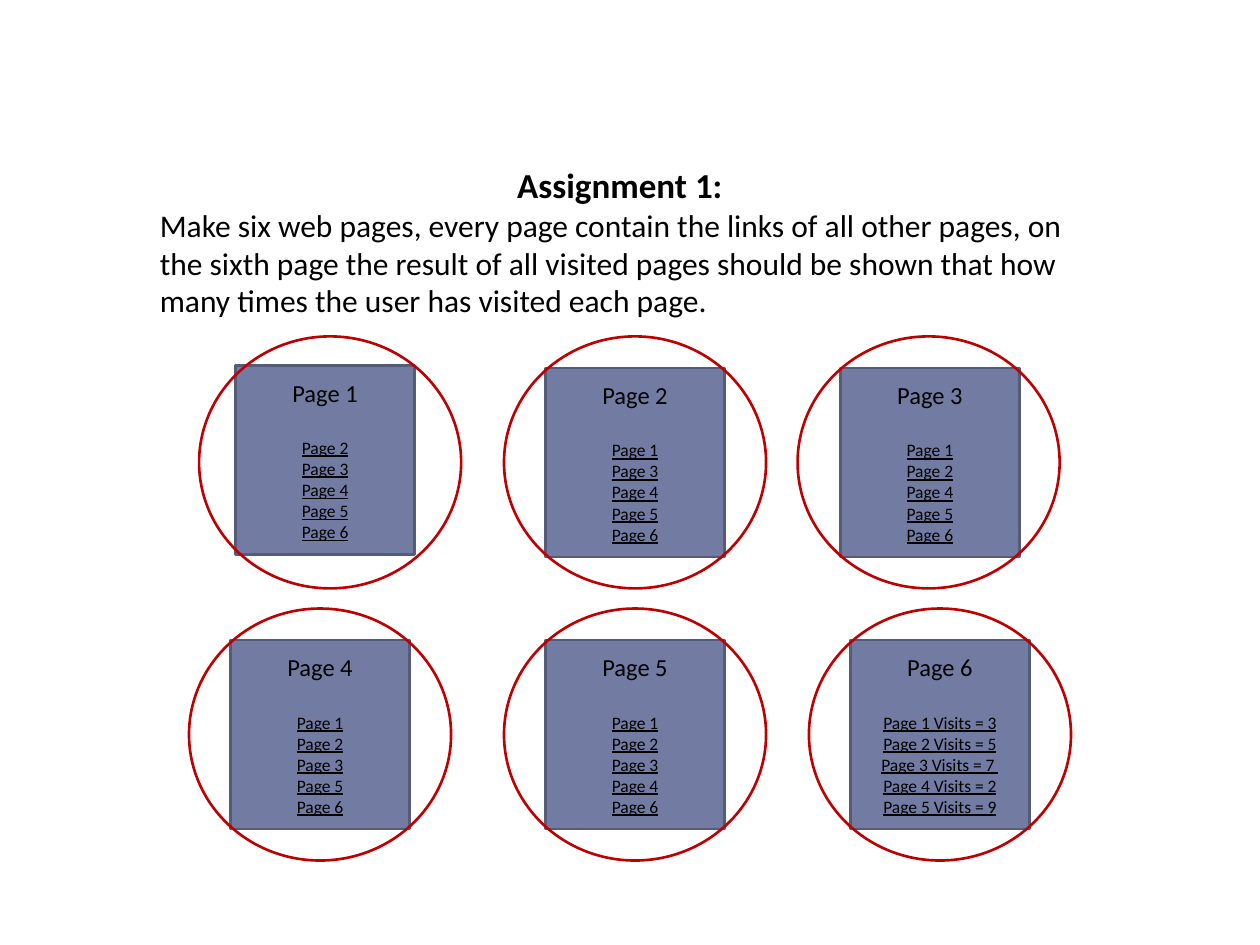
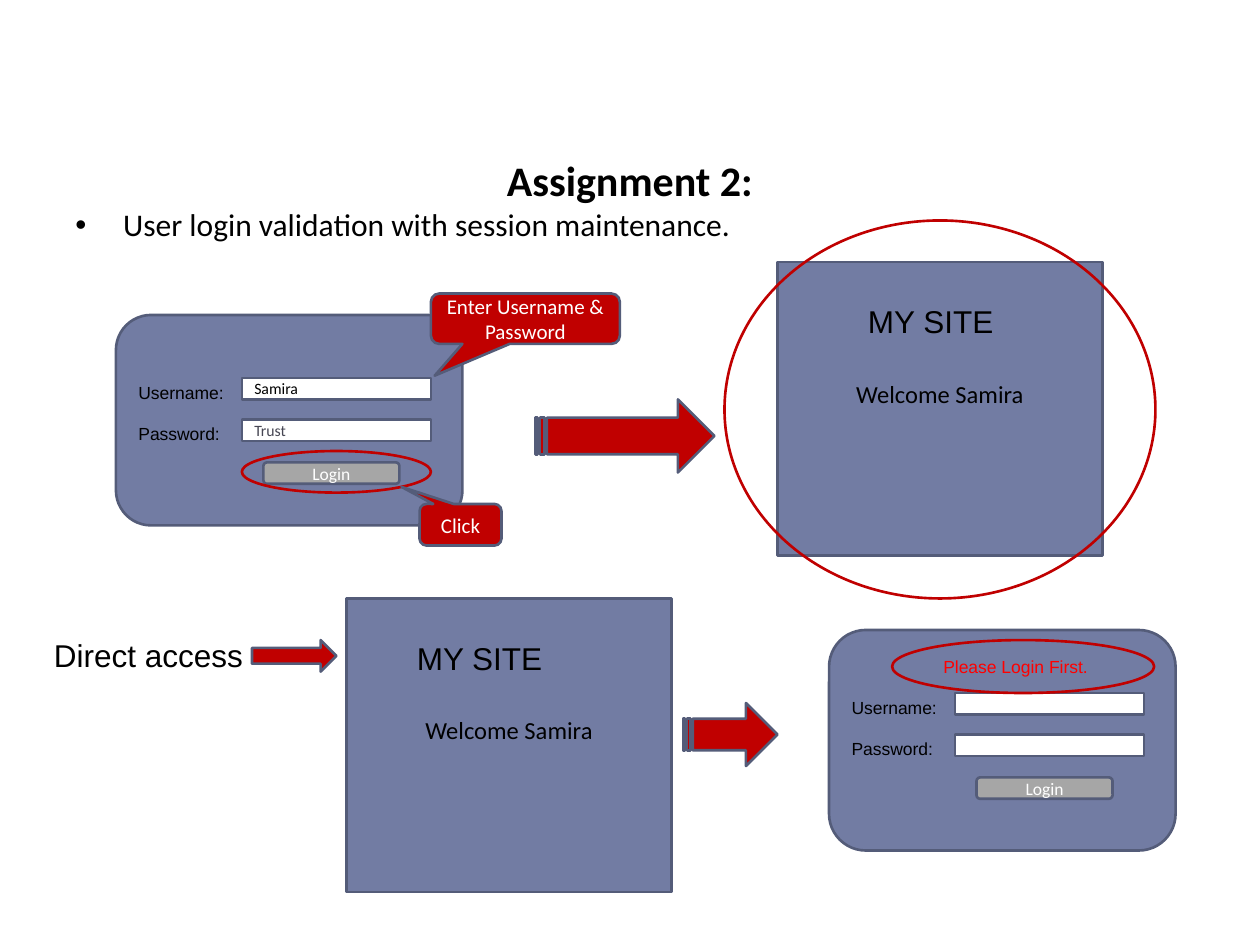
from lxml import etree
from pptx import Presentation
from pptx.dml.color import RGBColor
from pptx.enum.shapes import MSO_SHAPE
from pptx.enum.text import MSO_ANCHOR, MSO_AUTO_SIZE, PP_ALIGN
from pptx.oxml.ns import qn
from pptx.util import Inches, Pt

RECT, ROUND, OVAL = MSO_SHAPE.RECTANGLE, MSO_SHAPE.ROUNDED_RECTANGLE, MSO_SHAPE.OVAL
CALLOUT = MSO_SHAPE.ROUNDED_RECTANGULAR_CALLOUT
ARROW, STRIPED = MSO_SHAPE.RIGHT_ARROW, MSO_SHAPE.STRIPED_RIGHT_ARROW
LEFT, CENTER = PP_ALIGN.LEFT, PP_ALIGN.CENTER
TOP, MIDDLE = MSO_ANCHOR.TOP, MSO_ANCHOR.MIDDLE
GROW = MSO_AUTO_SIZE.SHAPE_TO_FIT_TEXT

SLATE, EDGE, RED, GRAY = "727CA3", "545C79", "C00000", "A6A6A6"
BLACK, WHITE, INK, ALERT = "000000", "FFFFFF", "464653", "FF0000"
BODY, PLAIN = "Calibri", "Arial"
USER = "Samira"


def rgb(value):
    """Turn a hex string into a colour."""
    return RGBColor.from_string(value)


class Deck:
    """Holds the style and the current slide."""

    def __init__(self):
        """Start an empty 4:3 presentation."""
        self.prs = Presentation()
        self.prs.slide_width, self.prs.slide_height = Inches(10), Inches(7.5)

    def new_slide(self):
        """Add a blank slide and make it current."""
        self.s = self.prs.slides.add_slide(self.prs.slide_layouts[6])

    def style(self, p, size, color=BLACK, font=BODY, align=LEFT, bold=False, underline=False):
        """Format a paragraph and its runs."""
        p.alignment = align
        for r in p.runs:
            r.font.size, r.font.name = Pt(size), font
            r.font.bold, r.font.underline = bold, underline
            r.font.color.rgb = rgb(color)

    def fill_text(self, sp, text, size, anchor=TOP, **look):
        """Set the text of a shape in one style."""
        tf = sp.text_frame
        tf.text = text
        tf.word_wrap = True
        tf.vertical_anchor = anchor
        for p in tf.paragraphs:
            self.style(p, size, **look)
        return tf

    def text(self, x, y, w, h, text, size, **look):
        """Add a text box."""
        sp = self.s.shapes.add_textbox(Inches(x), Inches(y), Inches(w), Inches(h))
        return self.fill_text(sp, text, size, **look)

    def label(self, x, y, w, text):
        """Add a one-line label that does not wrap."""
        tf = self.text(x, y, w, 0.4, text, 18, font=PLAIN)
        tf.word_wrap = False
        tf.auto_size = GROW

    def shape(self, kind, x, y, w, h, fill=SLATE, line=EDGE):
        """Add a preset shape."""
        sp = self.s.shapes.add_shape(kind, Inches(x), Inches(y), Inches(w), Inches(h))
        sp.shadow.inherit = False
        if fill:
            sp.fill.solid()
            sp.fill.fore_color.rgb = rgb(fill)
        else:
            sp.fill.background()
        sp.line.color.rgb = rgb(line)
        sp.line.width = Pt(1.5)
        return sp

    def ring(self, x, y, w, h):
        """Add a red outline ellipse."""
        self.shape(OVAL, x, y, w, h, None, RED)

    def callout(self, x, y, w, h, text, tip):
        """Add a red callout whose tip is relative to its centre."""
        sp = self.shape(CALLOUT, x, y, w, h, RED)
        sp.adjustments[0], sp.adjustments[1] = tip
        self.fill_text(sp, text, 12, MIDDLE, color=WHITE, align=CENTER)

    def bullet(self, p, indent):
        """Give a paragraph a hanging bullet."""
        pPr = p._p.get_or_add_pPr()
        pPr.set("marL", str(Inches(indent)))
        pPr.set("indent", str(-Inches(indent)))
        etree.SubElement(pPr, qn("a:buFont")).set("typeface", PLAIN)
        etree.SubElement(pPr, qn("a:buChar")).set("char", "•")

    def page(self, x, y, name, links):
        """Add a web page card with its underlined links."""
        sp = self.shape(RECT, x, y, 1.42, 1.5)
        tf = self.fill_text(sp, "\n".join([name] + links), 10, MIDDLE, align=CENTER,
                            underline=True)
        p = tf.paragraphs[0]
        self.style(p, 14, align=CENTER)
        p.space_after = Pt(17)

    def site(self, x, y, title_dx):
        """Add the welcome page of the site."""
        sp = self.shape(RECT, x, y, 2.58, 2.33)
        tf = self.fill_text(sp, f"Welcome {USER}", 14, MIDDLE, align=CENTER)
        tf.margin_bottom = Inches(0.29)
        self.label(x + title_dx, y + 0.27, 1.21, "MY SITE")

    def login_form(self, x, y, h, values=()):
        """Add a login panel, filled in with (text, colour) values."""
        self.shape(ROUND, x, y, 2.75, h)
        tf = self.text(x + 0.08, y + 0.48, 0.92, 0.61, "Username:\nPassword:", 10, font=PLAIN)
        tf.paragraphs[1].space_before = Pt(11.5)
        fields = [self.shape(RECT, x + 1, y + dy, 1.5, 0.17, WHITE) for dy in (0.5, 0.83)]
        for sp, (value, color) in zip(fields, values):
            self.fill_text(sp, value, 9, MIDDLE, color=color)
        sp = self.shape(ROUND, x + 1.17, y + 1.17, 1.08, 0.17, GRAY)
        self.fill_text(sp, "Login", 10, MIDDLE, color=WHITE, align=CENTER)


def visits_slide(d):
    """Build the page visits assignment."""
    d.new_slide()
    cards = [(1.87, 2.9, 1.58), (4.33, 2.92, 4), (6.67, 2.92, 6.33),
             (1.83, 5.08, 1.5), (4.33, 5.08, 4), (6.75, 5.08, 6.42)]
    names = [f"Page {n}" for n in range(1, 7)]
    visits = ["Page 1 Visits = 3", "Page 2 Visits = 5", "Page 3 Visits = 7 ",
              "Page 4 Visits = 2", "Page 5 Visits = 9"]
    for i, (name, (x, y, ring_x)) in enumerate(zip(names, cards)):
        links = visits if name == names[-1] else [n for n in names if n != name]
        d.page(x, y, name, links)
        d.ring(ring_x, 2.67 if i < 3 else 4.83, 2.08, 2)
    task = ("Make six web pages, every page contain the links of all other pages, on the sixth "
            "page the result of all visited pages should be shown that how many times the user "
            "has visited each page.")
    tf = d.text(1.17, 1.25, 7.5, 1.65, f"Assignment 1:\n{task}", 18)
    tf.auto_size = GROW
    d.style(tf.paragraphs[0], 20, align=CENTER, bold=True)


def login_slide(d):
    """Build the login session assignment."""
    d.new_slide()
    d.text(0.5, 1.18, 9, 0.84, "Assignment 2:", 24, align=CENTER, bold=True)
    tf = d.text(0.5, 1.58, 9, 5.33, "User login validation with session maintenance.", 18)
    d.bullet(tf.paragraphs[0], 0.38)

    d.login_form(0.92, 2.5, 1.67, [(USER, BLACK), ("Trust", INK)])
    d.ring(1.92, 3.58, 1.5, 0.33)
    d.callout(3.42, 2.33, 1.5, 0.4, "Enter Username & Password", (-0.48, 1.13))
    d.callout(3.33, 4, 0.65, 0.33, "Click", (-0.72, -0.91))
    d.shape(STRIPED, 4.25, 3.17, 1.42, 0.58, RED)
    d.site(6.17, 2.08, 0.62)
    d.ring(5.75, 1.75, 3.42, 3)

    d.label(0.33, 5, 1.72, "Direct access")
    d.shape(ARROW, 2, 5.08, 0.67, 0.25, RED)
    d.site(2.75, 4.75, 0.46)
    d.shape(STRIPED, 5.42, 5.58, 0.75, 0.5, RED)
    d.login_form(6.58, 5, 1.75)
    d.text(7.06, 5.16, 2, 0.27, "Please Login First.", 10, color=ALERT, font=PLAIN, align=CENTER)
    d.ring(7.08, 5.08, 2.08, 0.42)


def main():
    """Build and save the deck."""
    d = Deck()
    visits_slide(d)
    login_slide(d)
    d.prs.save("out.pptx")


if __name__ == "__main__":
    main()
